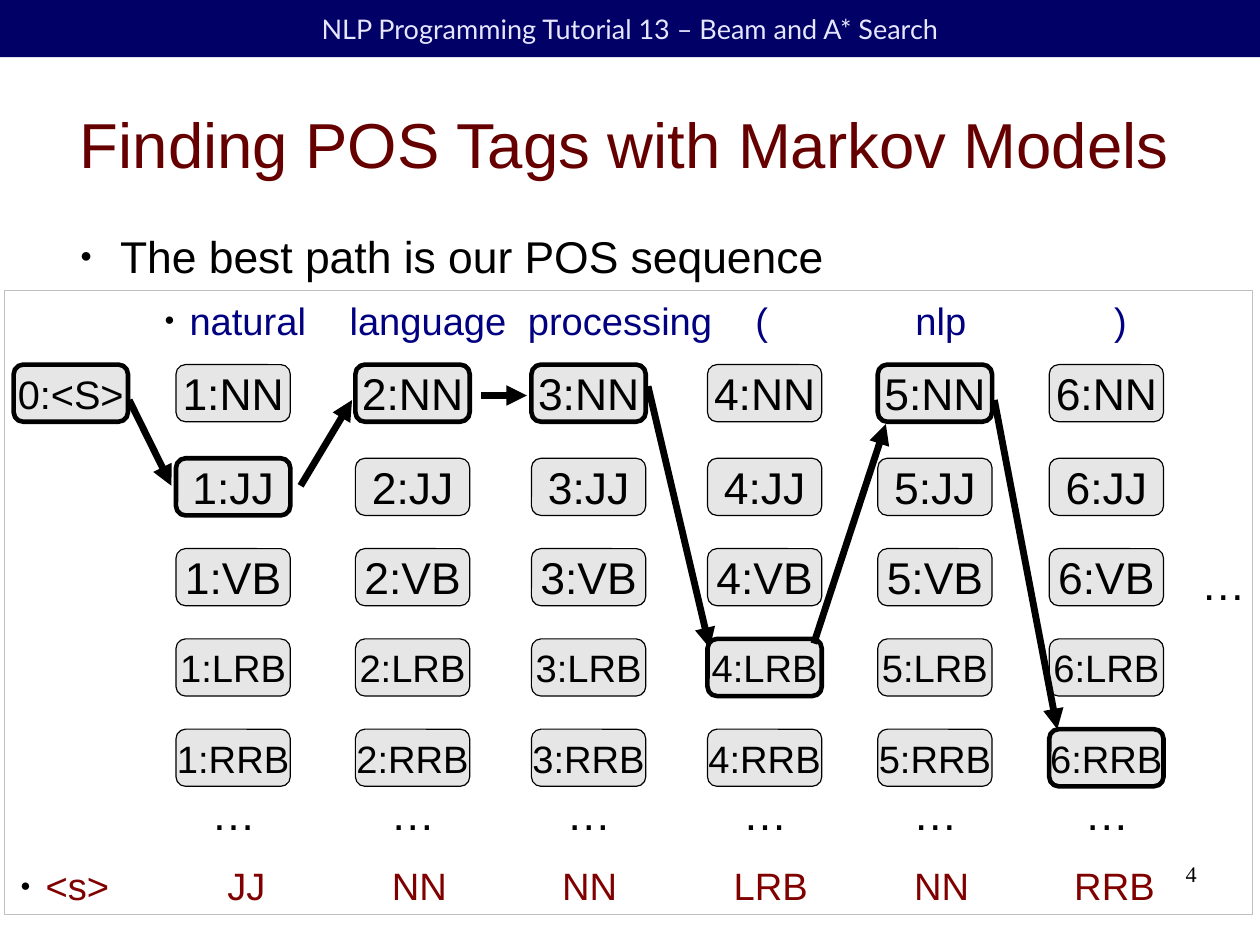
from dataclasses import dataclass

from lxml import etree
from pptx import Presentation
from pptx.dml.color import RGBColor as RGB
from pptx.enum.shapes import MSO_CONNECTOR as Link, MSO_SHAPE as Kind
from pptx.enum.text import MSO_ANCHOR as Anchor, MSO_AUTO_SIZE as Fit, PP_ALIGN as Align
from pptx.oxml.ns import qn
from pptx.util import Inches, Pt


@dataclass(frozen=True)
class Theme:
    black: str = "000000"
    navy: str = "000066"
    pale: str = "E6E6FF"
    title: str = "660000"
    word: str = "000080"
    tag: str = "800000"
    node: str = "E6E6E6"
    frame: str = "C0C0C0"
    font: str = "Arial"
    big: int = 40
    large: int = 28
    start: int = 25
    mid: int = 24
    head: int = 17
    small: int = 14
    bold: float = 2.89
    arrow: float = 4.31


T = Theme()


def write(shape, text, size=T.large, color=T.black, font=T.font, align=Align.LEFT,
          anchor=Anchor.TOP, pad=(0.1, 0.05), wrap=True, bullet=False,
          indent=(0, 0), tabs=(), after=0):
    frame = shape.text_frame
    frame.auto_size, frame.word_wrap = Fit.NONE, wrap
    frame.vertical_anchor = anchor
    frame.margin_left = frame.margin_right = Inches(pad[0])
    frame.margin_top = frame.margin_bottom = Inches(pad[1])
    para = frame.paragraphs[0]
    props = para._p.get_or_add_pPr()
    if bullet:
        props.set("marL", str(Inches(indent[0])))
        props.set("indent", str(Inches(indent[1])))
        tint = etree.SubElement(props, qn("a:buClr"))
        etree.SubElement(tint, qn("a:srgbClr"), val=T.black)
        etree.SubElement(props, qn("a:buSzPct"), val="45000")
        etree.SubElement(props, qn("a:buFont"), typeface=T.font)
        etree.SubElement(props, qn("a:buChar"), char="●")
    if tabs:
        stops = etree.SubElement(props, qn("a:tabLst"))
        for stop in tabs:
            etree.SubElement(stops, qn("a:tab"), pos=str(Inches(stop)), algn="l")
    para.alignment = align
    para.space_before, para.space_after = Pt(0), Pt(after)
    run = para.add_run()
    run.text = text
    run.font.size, run.font.name = Pt(size), font
    run.font.color.rgb = RGB.from_string(color)


def place(shape, left, top, width, height):
    shape.left, shape.top = Inches(left), Inches(top)
    shape.width, shape.height = Inches(width), Inches(height)
    return shape


# Page of 28 by 21 cm
wide, high = Inches(28 / 2.54), Inches(21 / 2.54)
deck = Presentation()
deck.slide_width, deck.slide_height = wide, high
slide = deck.slides.add_slide(deck.slide_layouts[1])
shapes = slide.shapes

# Header band
band = shapes.add_shape(Kind.RECTANGLE, 0, 0, wide, Inches(0.5))
band.shadow.inherit = False
band.fill.solid()
band.fill.fore_color.rgb = RGB.from_string(T.navy)
band.line.fill.background()
write(band, "NLP Programming Tutorial 13 – Beam and A* Search", size=T.head,
      color=T.pale, font="Lato", align=Align.CENTER, anchor=Anchor.MIDDLE)

# Title and lead point
write(place(shapes.title, 0.5, 0.62, 9.92, 1.27), "Finding POS Tags with Markov Models",
      size=T.big, color=T.title, align=Align.CENTER, anchor=Anchor.MIDDLE, pad=(0, 0))
write(place(slide.placeholders[1], 0.58, 2, 9.92, 0.43),
      "The best path is our POS sequence", pad=(0, 0), bullet=True,
      indent=(0.47, -0.35), after=14.2)

# Words above the grid and tags below it, each on its own tab stop
rows = [
    ((1.34, 2.55, 9.35, 0.47), T.word, (0.22, 1.62, 3.18, 5.17, 6.57, 8.31),
     ["natural", "language", "processing", "(", "nlp", ")"]),
    ((0.08, 7.5, 10.42, 0.47), T.tag, (0.22, 1.81, 3.25, 4.74, 6.24, 7.82, 9.22),
     ["<s>", "JJ", "NN", "NN", "LRB", "NN", "RRB"]),
]
for spot, color, tabs, words in rows:
    box = shapes.add_textbox(*map(Inches, spot))
    write(box, "\t" + "\t".join(words), size=T.mid, color=color, bullet=True, tabs=tabs)

# Grid of states, with the best path in bold
cols = [1.54, 3.11, 4.65, 6.19, 7.68, 9.18]
tops = {"NN": 3.19, "JJ": 4.01, "VB": 4.8, "LRB": 5.59, "RRB": 6.38}
best = ["JJ", "NN", "NN", "LRB", "NN", "RRB"]
nodes = [(0.12, 3.19, "0:<S>", T.start, True)]
for num, (left, pick) in enumerate(zip(cols, best), 1):
    for tag, top in tops.items():
        size = T.mid if len(tag) > 2 else T.large
        nodes.append((left, top, f"{num}:{tag}", size, tag == pick))
for left, top, text, size, bold in nodes:
    node = shapes.add_shape(Kind.ROUNDED_RECTANGLE, Inches(left), Inches(top),
                            Inches(1), Inches(0.5))
    node.shadow.inherit = False
    node.fill.solid()
    node.fill.fore_color.rgb = RGB.from_string(T.node)
    node.line.color.rgb = RGB.from_string(T.black)
    node.line.width = Pt(T.bold if bold else 0)
    write(node, text, size=size, align=Align.CENTER, anchor=Anchor.MIDDLE,
          pad=(0.12, 0.07) if bold else (0.1, 0.05), wrap=False)

# Dots under each column and at the right
for left, top in [(col + 0.21, 6.83) for col in cols] + [(10.41, 4.82)]:
    dots = shapes.add_textbox(Inches(left), Inches(top), Inches(0.59), Inches(0.53))
    write(dots, "…", wrap=False)

# Arrows along the best path
path = [
    (1.13, 3.5, 1.5, 4.25), (2.63, 4.25, 3.08, 3.5), (4.21, 3.46, 4.61, 3.46),
    (5.67, 3.38, 6.21, 5.67), (7.12, 5.63, 7.75, 3.71), (8.7, 3.5, 9.25, 6.38),
]
for ends in path:
    arrow = shapes.add_connector(Link.STRAIGHT, *map(Inches, ends))
    arrow.line.color.rgb = RGB.from_string(T.black)
    arrow.line.width = Pt(T.arrow)
    line = arrow._element.spPr.find(qn("a:ln"))
    etree.SubElement(line, qn("a:tailEnd"), type="triangle")
    etree.SubElement(arrow._element.spPr, qn("a:effectLst"))

# Frame around the grid
frame = shapes.add_shape(Kind.RECTANGLE, Inches(0.04), Inches(2.54),
                         Inches(10.92), Inches(5.46))
frame.shadow.inherit = False
frame.fill.background()
frame.line.color.rgb = RGB.from_string(T.frame)
frame.line.width = Pt(0)

# Page number
page = shapes.add_textbox(Inches(7.9), Inches(7.53), Inches(2.57), Inches(0.57))
write(page, "4", size=T.small, font="Times New Roman", align=Align.RIGHT, pad=(0, 0))

deck.save("out.pptx")
